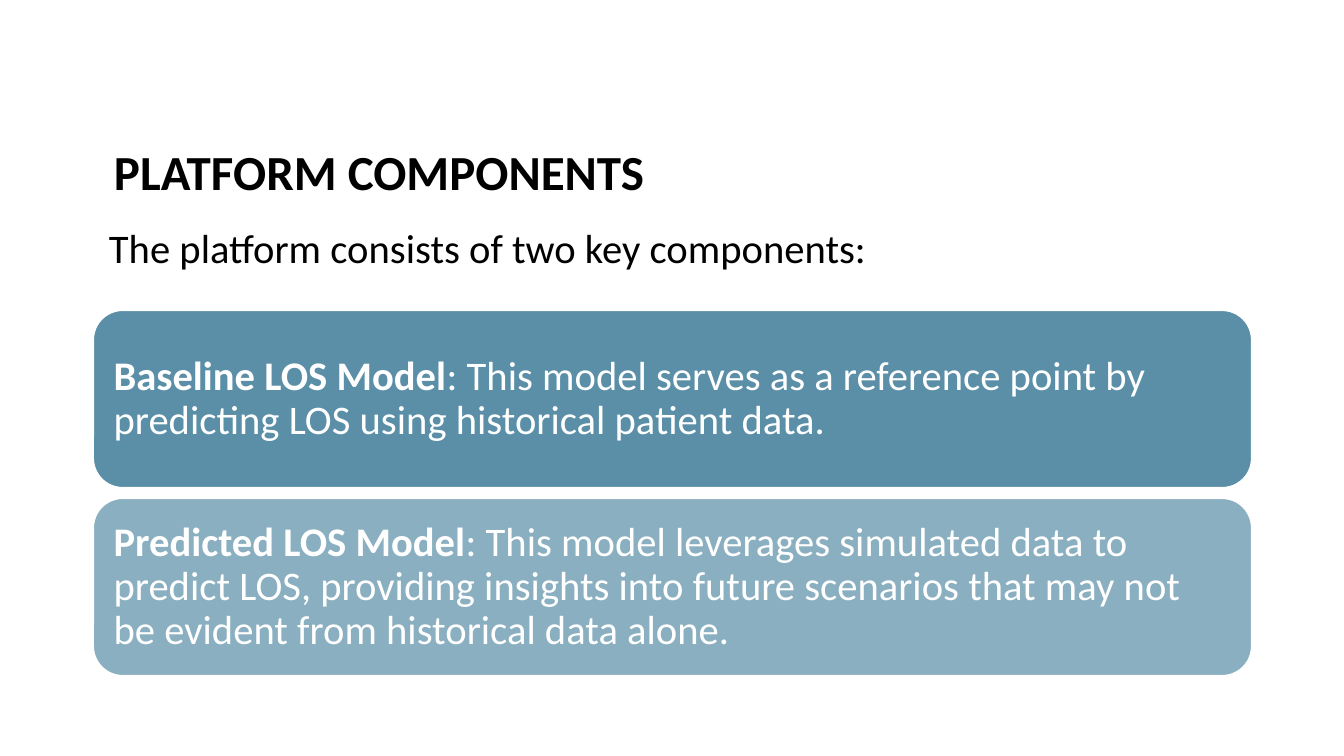
import lxml.etree
import pptx
import pptx.dml.color
import pptx.enum.shapes
import pptx.enum.text
import pptx.oxml.ns
import pptx.util

EMU_PER_PX = 914400 / 100.8
LEFT, WIDTH = 93, 1159
CARD_TOP, CARD_HEIGHT, CARD_PITCH = 310, 178, 188

MODELS = [
    ("Baseline LOS Model",
     ": This model serves as a reference point by predicting LOS using "
     "historical patient data.", 70),
    ("Predicted LOS Model",
     ": This model leverages simulated data to predict LOS, providing insights "
     "into future scenarios that may not be evident from historical data alone.", 50),
]


def px(length):
    return pptx.util.Emu(round(length * EMU_PER_PX))


def color(hex_code):
    return pptx.dml.color.RGBColor.from_string(hex_code)


class SlideBuilder:
    font = "Calibri"
    ink = "000000"
    paper = "FFFFFF"
    teal = "156082"
    body_size = 29
    title_size = 35

    def __init__(self, slide):
        self.slide = slide

    def set_text(self, frame, runs, size, text_color, insets):
        """Fill a frame with one paragraph of (text, bold) runs; insets are left, top, right, bottom."""
        frame.word_wrap = True
        frame.vertical_anchor = pptx.enum.text.MSO_ANCHOR.MIDDLE
        (frame.margin_left, frame.margin_top,
         frame.margin_right, frame.margin_bottom) = map(px, insets)
        paragraph = frame.paragraphs[0]
        paragraph.alignment = pptx.enum.text.PP_ALIGN.LEFT
        paragraph.line_spacing = 0.9
        paragraph.font.name = self.font
        paragraph.font.size = pptx.util.Pt(size)
        paragraph.font.color.rgb = color(text_color)
        for text, bold in runs:
            run = paragraph.add_run()
            run.text = text
            run.font.bold = bold

    def text(self, top, height, content, size, insets, bold=False):
        box = self.slide.shapes.add_textbox(px(LEFT), px(top), px(WIDTH), px(height))
        self.set_text(box.text_frame, [(content, bold)], size, self.ink, insets)

    def card(self, top, name, description, opacity):
        """Add a rounded card; opacity is the percentage of its fill."""
        card = self.slide.shapes.add_shape(
            pptx.enum.shapes.MSO_SHAPE.ROUNDED_RECTANGLE,
            px(LEFT), px(top), px(WIDTH), px(CARD_HEIGHT))
        card.shadow.inherit = False
        card.fill.solid()
        card.fill.fore_color.rgb = color(self.teal)
        fill_color = card.element.spPr.find(".//" + pptx.oxml.ns.qn("a:srgbClr"))
        alpha = lxml.etree.SubElement(fill_color, pptx.oxml.ns.qn("a:alpha"))
        alpha.set("val", str(opacity * 1000))
        card.line.color.rgb = color(self.paper)
        card.line.width = pptx.util.Pt(1.5)
        self.set_text(card.text_frame, [(name, True), (description, False)],
                      self.body_size, self.paper, (12, 12, 12, 12))


def main():
    presentation = pptx.Presentation()
    presentation.slide_width = px(1344)
    presentation.slide_height = px(756)
    builder = SlideBuilder(presentation.slides.add_slide(presentation.slide_layouts[6]))

    builder.text(75, 146, "PLATFORM COMPONENTS", builder.title_size,
                 (21, 59, 10, 5), bold=True)
    builder.text(202, 96, "The platform consists of two key components:",
                 builder.body_size, (16, 12, 16, 12))
    for index, (name, description, opacity) in enumerate(MODELS):
        builder.card(CARD_TOP + index * CARD_PITCH, name, description, opacity)

    presentation.save("out.pptx")


if __name__ == "__main__":
    main()
